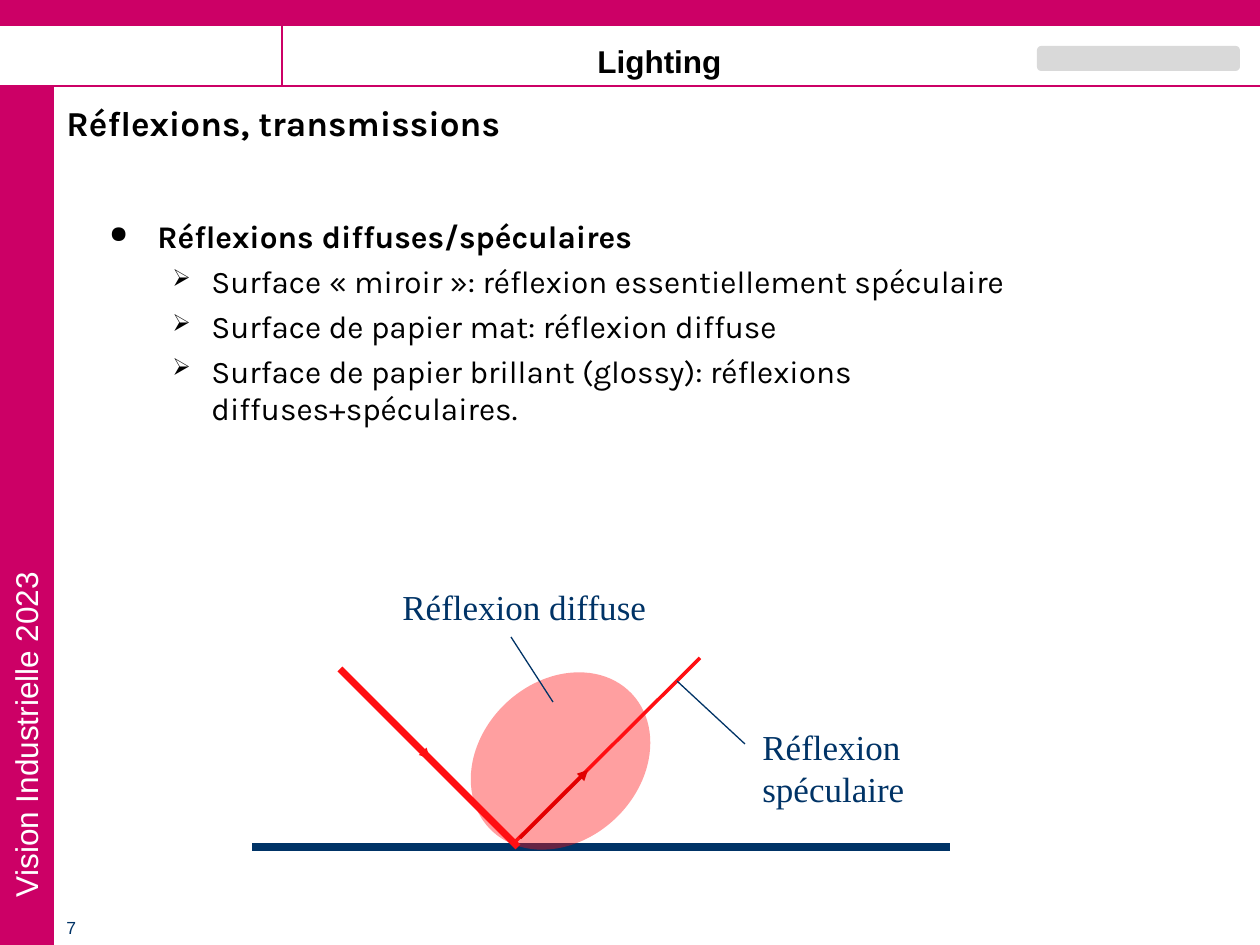
"""Build a lecture slide on diffuse and specular reflection."""
import pptx
import pptx.dml.color
import pptx.enum.shapes
import pptx.enum.text
import pptx.oxml
import pptx.oxml.ns
import pptx.util
import lxml.etree

PX = 914400 / 126
COLORS = {
    "magenta": "CC0066",
    "navy": "003366",
    "black": "000000",
    "white": "FFFFFF",
    "red": "FF0F12",
    "dark red": "E10000",
    "grey": "D9D9D9",
}
rgb = {name: pptx.dml.color.RGBColor.from_string(value) for name, value in COLORS.items()}
qn = pptx.oxml.ns.qn
SHAPES = pptx.enum.shapes.MSO_SHAPE
ALIGN = pptx.enum.text.PP_ALIGN
ANCHOR = pptx.enum.text.MSO_ANCHOR

deck = pptx.Presentation()
deck.slide_width = pptx.util.Inches(10)
deck.slide_height = pptx.util.Inches(7.5)
slide = deck.slides.add_slide(deck.slide_layouts[6])


def add_text(text, box, size=18, font="Arial", color="black", bold=False,
             align=ALIGN.LEFT, anchor=ANCHOR.TOP, rotation=0, spacing=None):
    label = slide.shapes.add_textbox(*[round(v * PX) for v in box])
    label.rotation = rotation
    frame = label.text_frame
    frame.word_wrap = True
    frame.vertical_anchor = anchor
    frame.text = text
    for paragraph in frame.paragraphs:
        paragraph.alignment = align
        paragraph.line_spacing = spacing
        for run in paragraph.runs:
            run.font.size = pptx.util.Pt(size)
            run.font.name = font
            run.font.bold = bold
            run.font.color.rgb = rgb[color]
    return frame


def add_line(points, color, width, arrow=False):
    line = slide.shapes.add_connector(
        pptx.enum.shapes.MSO_CONNECTOR.STRAIGHT, *[round(v * PX) for v in points])
    line.line.color.rgb = rgb[color]
    line.line.width = pptx.util.Pt(width)
    if arrow:
        lxml.etree.SubElement(line.line._get_or_add_ln(), qn("a:tailEnd"), type="triangle")
    lxml.etree.SubElement(line._element.spPr, qn("a:effectLst"))


for kind, box, color in [
    (SHAPES.RECTANGLE, (0, 86, 54, 859), "magenta"),
    (SHAPES.RECTANGLE, (0, 0, 1260, 26), "magenta"),
    (SHAPES.ROUNDED_RECTANGLE, (1037, 46, 203, 25), "grey"),
]:
    block = slide.shapes.add_shape(kind, *[round(v * PX) for v in box])
    block.shadow.inherit = False
    block.fill.solid()
    block.fill.fore_color.rgb = rgb[color]
    block.line.fill.background()

add_line((0, 86, 1260, 86), "magenta", 0.75)
add_line((282, 86, 282, 0), "magenta", 0.75)

add_text("Vision Industrielle 2023", (-233, 626, 517, 50), color="white", rotation=270)
add_text("7", (54, 911, 59, 34), size=10, color="navy")
add_text("Lighting", (292, 36, 735, 50), bold=True, align=ALIGN.CENTER)
add_text("Réflexions, transmissions", (54, 96, 1191, 59), size=20, font="Karla",
         bold=True, anchor=ANCHOR.MIDDLE, spacing=0.9)

points = [
    "Réflexions diffuses/spéculaires",
    "Surface « miroir »: réflexion essentiellement spéculaire",
    "Surface de papier mat: réflexion diffuse",
    "Surface de papier brillant (glossy): réflexions diffuses+spéculaires.",
]
body = add_text("\n".join(points), (97, 211, 1050, 630), font="Karla")
for index, paragraph in enumerate(body.paragraphs):
    level = min(index, 1)
    paragraph.level = level
    margin, hanging, bullet = [(48, 48, "●"), (102, 39, "➢")][level]
    properties = paragraph._p.get_or_add_pPr()
    properties.set("marL", str(round(margin * PX)))
    properties.set("indent", str(round(-hanging * PX)))
    bullet_color = lxml.etree.SubElement(properties, qn("a:buClr"))
    lxml.etree.SubElement(bullet_color, qn("a:srgbClr"), val=COLORS["black"])
    lxml.etree.SubElement(properties, qn("a:buSzPct"), val="75000")
    lxml.etree.SubElement(properties, qn("a:buChar"), char=bullet)
    if index:
        paragraph.space_before = pptx.util.Pt(4)
    else:
        paragraph.runs[0].font.bold = True

add_line((252, 847, 950, 847), "navy", 4.5)
add_line((340, 669, 518, 847), "red", 4)
add_line((513, 844, 700, 658), "red", 2)
add_line((394, 721, 430, 759), "red", 2, arrow=True)

lobe = slide.shapes.add_shape(SHAPES.OVAL, *[round(v * PX) for v in (481, 663, 159, 196)])
lobe.rotation = 46.7
lobe.shadow.inherit = False
lobe.fill.solid()
lobe.fill.fore_color.rgb = rgb["red"]
lobe.line.fill.background()
lobe_color = lobe._element.spPr.find(qn("a:solidFill")).find(qn("a:srgbClr"))
lxml.etree.SubElement(lobe_color, qn("a:alpha"), val="40000")

add_line((520, 838, 588, 770), "dark red", 2, arrow=True)
add_line((553, 702, 511, 637), "navy", 0.75)
add_line((677, 681, 745, 744), "navy", 0.75)

for text, box in [
    ("Réflexion diffuse", (390, 579, 290, 54)),
    ("Réflexion spéculaire", (750, 719, 200, 96)),
]:
    add_text(text, box, size=20, font="Times New Roman", color="navy")

deck.save("out.pptx")
